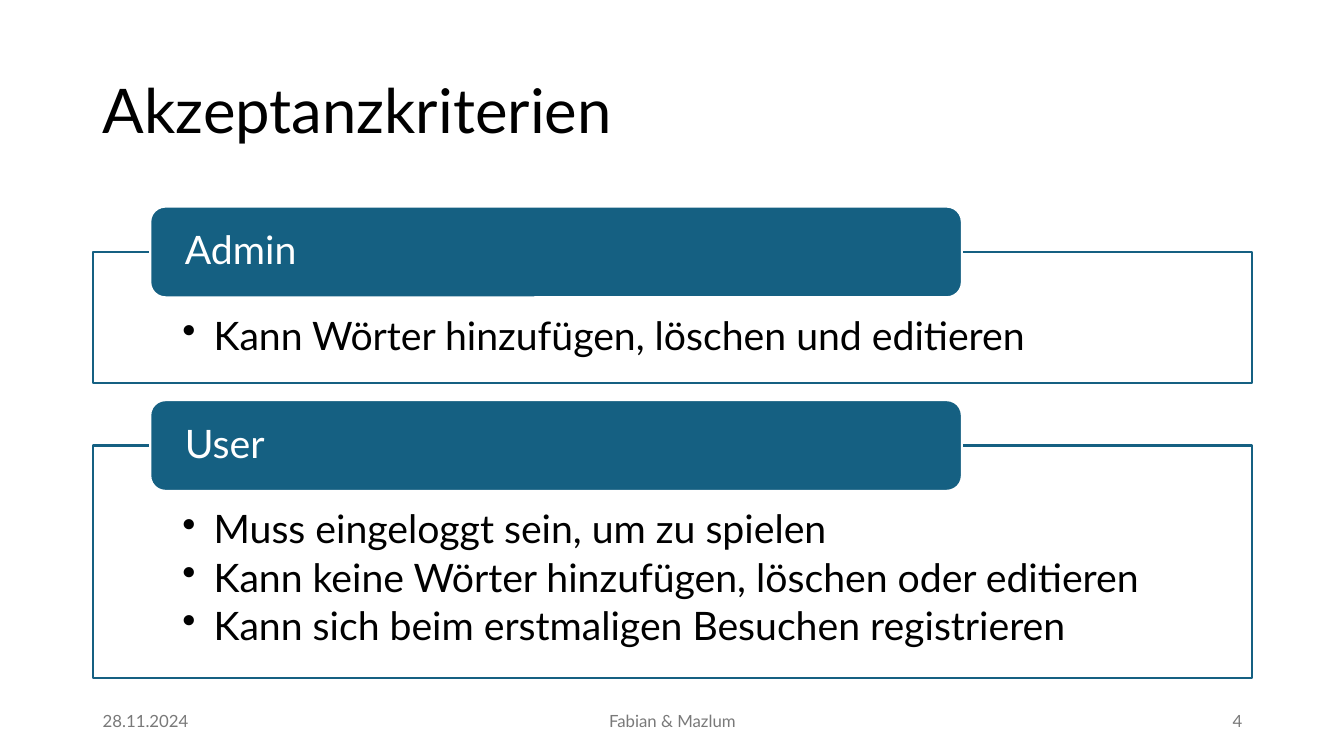
"""Build the acceptance criteria slide with one framed panel per role."""
from dataclasses import dataclass

from lxml import etree
from pptx import Presentation
from pptx import util as u
from pptx.dml.color import RGBColor
from pptx.enum import shapes, text
from pptx.oxml.ns import qn

FONT = "Lato"
TEAL = RGBColor(0x15, 0x60, 0x82)
WHITE = RGBColor(0xFF, 0xFF, 0xFF)
BLACK = RGBColor(0x00, 0x00, 0x00)
GRAY = RGBColor(0x79, 0x79, 0x79)

LEFT, WIDTH = 0.92, 11.5
TAG_INDENT, TAG_WIDTH, TAG_HEIGHT = 0.57, 8.05, 0.9
HANG = u.Inches(0.31)


@dataclass
class Panel:
    role: str
    top: float
    height: float
    criteria: list[str]


@dataclass
class Footer:
    label: str
    left: float
    width: float
    align: text.PP_ALIGN


PANELS = [
    Panel("Admin", 2.5, 1.3, ["Kann Wörter hinzufügen, löschen und editieren"]),
    Panel("User", 4.42, 2.31, [
        "Muss eingeloggt sein, um zu spielen",
        "Kann keine Wörter hinzufügen, löschen oder editieren",
        "Kann sich beim erstmaligen Besuchen registrieren",
    ]),
]
FOOTERS = [
    Footer("28.11.2024", LEFT, 3, text.PP_ALIGN.LEFT),
    Footer("Fabian & Mazlum", 4.42, 4.5, text.PP_ALIGN.CENTER),
    Footer("4", 9.42, 3, text.PP_ALIGN.RIGHT),
]


def write(tf, lines: list[str], size: float, color: RGBColor,
          align=text.PP_ALIGN.LEFT, anchor=text.MSO_ANCHOR.MIDDLE, spacing: float = 0.9) -> None:
    """Fill a text frame with uniformly formatted paragraphs."""
    tf.word_wrap = True
    tf.vertical_anchor = anchor
    tf.text = "\n".join(lines)
    for p in tf.paragraphs:
        p.alignment = align
        p.line_spacing = spacing
        for r in p.runs:
            r.font.name = FONT
            r.font.size = u.Pt(size)
            r.font.color.rgb = color


def set_margins(tf, side: float, top: float, bottom: float) -> None:
    """Set the insets of a text frame in inches."""
    tf.margin_left = tf.margin_right = u.Inches(side)
    tf.margin_top, tf.margin_bottom = u.Inches(top), u.Inches(bottom)


def add_bullet(p) -> None:
    """Give a paragraph a hanging bullet."""
    p.level = 1
    p.space_after = u.Pt(4.2)
    pPr = p._p.get_or_add_pPr()
    pPr.set("marL", str(HANG))
    pPr.set("indent", str(-HANG))
    etree.SubElement(pPr, qn("a:buChar")).set("char", "•")


def add_box(s, kind, left: float, top: float, width: float, height: float,
            fill: RGBColor, line: RGBColor):
    """Add a filled and outlined shape."""
    sp = s.shapes.add_shape(kind, *map(u.Inches, (left, top, width, height)))
    sp.shadow.inherit = False
    sp.fill.solid()
    sp.fill.fore_color.rgb = fill
    sp.line.color.rgb = line
    sp.line.width = u.Pt(1.5)
    return sp


def add_panel(s, panel: Panel) -> None:
    """Add a frame of criteria with its role tag across the top edge."""
    frame = add_box(s, shapes.MSO_SHAPE.RECTANGLE, LEFT, panel.top, WIDTH, panel.height, WHITE, TEAL)
    set_margins(frame.text_frame, 0.89, 0.64, 0.22)
    write(frame.text_frame, panel.criteria, 28, BLACK, anchor=text.MSO_ANCHOR.TOP)
    for p in frame.text_frame.paragraphs:
        add_bullet(p)

    tag = add_box(s, shapes.MSO_SHAPE.ROUNDED_RECTANGLE, LEFT + TAG_INDENT,
                  panel.top - TAG_HEIGHT / 2, TAG_WIDTH, TAG_HEIGHT, TEAL, WHITE)
    set_margins(tag.text_frame, 0.3, 0, 0)
    write(tag.text_frame, [panel.role], 28, WHITE)


def add_footer(s, footer: Footer) -> None:
    """Add one footer text."""
    sp = s.shapes.add_textbox(*map(u.Inches, (footer.left, 6.95, footer.width, 0.4)))
    write(sp.text_frame, [footer.label], 12, GRAY, footer.align, spacing=1.0)


def main() -> None:
    """Build and save the slide."""
    prs = Presentation()
    prs.slide_width, prs.slide_height = u.Inches(13.33), u.Inches(7.5)
    s = prs.slides.add_slide(prs.slide_layouts[5])
    title = s.shapes.title
    title.left, title.top, title.width, title.height = map(u.Inches, (LEFT, 0.4, WIDTH, 1.45))
    write(title.text_frame, ["Akzeptanzkriterien"], 44, BLACK)
    for panel in PANELS:
        add_panel(s, panel)
    for footer in FOOTERS:
        add_footer(s, footer)
    prs.save("out.pptx")


if __name__ == "__main__":
    main()
